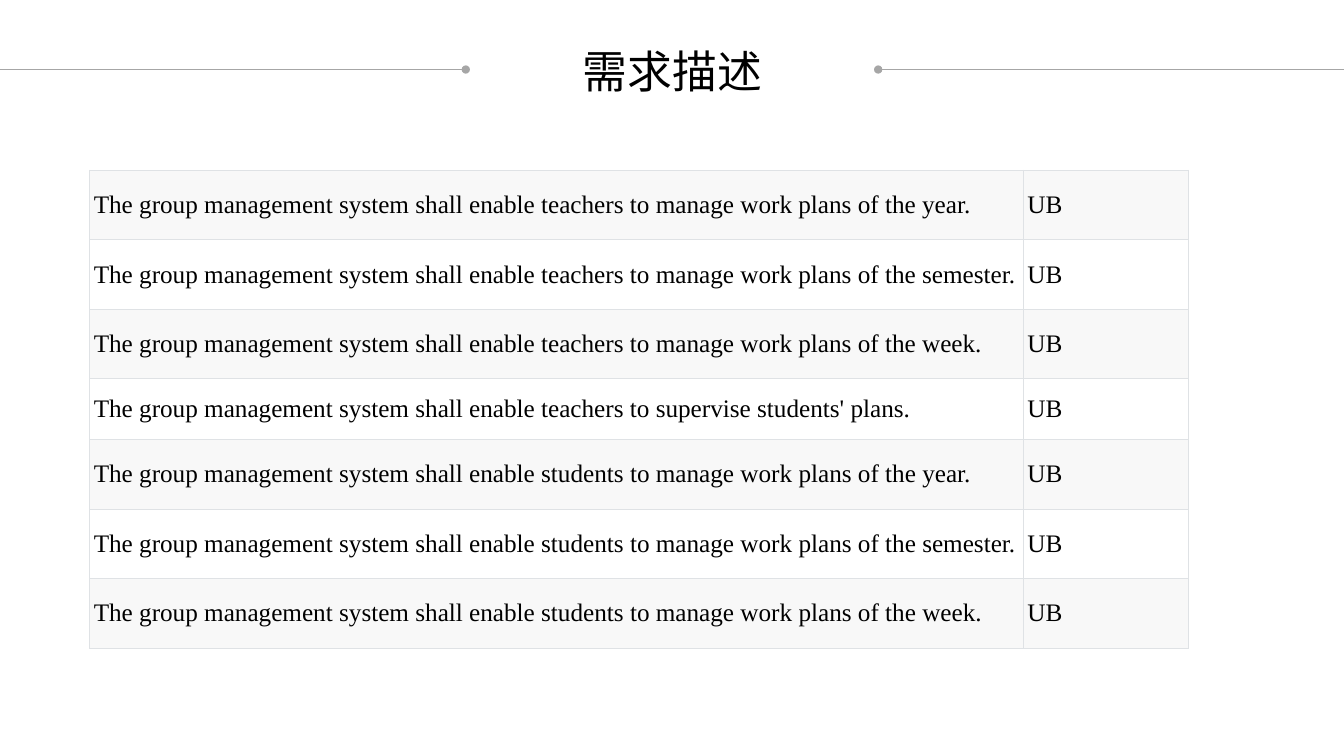
from lxml import etree
from pptx import Presentation
from pptx.dml.color import RGBColor
from pptx.enum.shapes import MSO_CONNECTOR
from pptx.enum.text import MSO_ANCHOR, MSO_AUTO_SIZE, PP_ALIGN
from pptx.oxml import parse_xml
from pptx.oxml.ns import nsdecls, qn
from pptx.util import Inches, Pt

STRAIGHT = MSO_CONNECTOR.STRAIGHT
MIDDLE = MSO_ANCHOR.MIDDLE
FIT_SHAPE = MSO_AUTO_SIZE.SHAPE_TO_FIT_TEXT
CENTER = PP_ALIGN.CENTER

COLORS = {"text": "000000", "rule": "A6A6A6", "border": "DFE2E5", "band": "F8F8F8"}
TITLE_FONT = "Arial Narrow"
BODY_FONT = "Times New Roman"
WIDTH, HEIGHT = 13.33, 7.5

NEEDS = [
    ("teachers", "manage work plans of the year"),
    ("teachers", "manage work plans of the semester"),
    ("teachers", "manage work plans of the week"),
    ("teachers", "supervise students' plans"),
    ("students", "manage work plans of the year"),
    ("students", "manage work plans of the semester"),
    ("students", "manage work plans of the week"),
]
ROWS = [(f"The group management system shall enable {who} to {task}.", "UB")
        for who, task in NEEDS]
COL_WIDTHS = [9.26, 1.64]
ROW_HEIGHTS = [0.69, 0.69, 0.69, 0.6, 0.69, 0.69, 0.69]


def rgb(name):
    return RGBColor.from_string(COLORS[name])


class SlideBuilder:
    def __init__(self, prs):
        self.s = prs.slides.add_slide(prs.slide_layouts[5])

    def style(self, p, font, size):
        p.font.name = font
        p.font.size = Pt(size)
        p.font.color.rgb = rgb("text")

    def title(self, text, left, top, width, height):
        sp = self.s.shapes.title
        sp.left, sp.top = Inches(left), Inches(top)
        sp.width, sp.height = Inches(width), Inches(height)
        tf = sp.text_frame
        tf.text = text
        tf.word_wrap = False
        tf.auto_size = FIT_SHAPE
        p = tf.paragraphs[0]
        p.alignment = CENTER
        self.style(p, TITLE_FONT, 32)

    def rule(self, x1, x2, y, dot_end):
        cx = self.s.shapes.add_connector(
            STRAIGHT, Inches(x1), Inches(y), Inches(x2), Inches(y))
        cx.line.color.rgb = rgb("rule")
        cx.line.width = Pt(0.5)
        sp_pr = cx.line._get_or_add_ln().getparent()
        etree.SubElement(cx.line._get_or_add_ln(), qn(f"a:{dot_end}"), type="oval")
        etree.SubElement(sp_pr, qn("a:effectLst"))

    def borders(self, cell):
        tc_pr = cell._tc.get_or_add_tcPr()
        for side in ("lnL", "lnR", "lnT", "lnB"):
            tc_pr.append(parse_xml(
                f'<a:{side} {nsdecls("a")} w="{Pt(0.75)}"><a:solidFill>'
                f'<a:srgbClr val="{COLORS["border"]}"/></a:solidFill></a:{side}>'))

    def cell(self, cell, text, banded):
        self.borders(cell)
        if banded:
            cell.fill.solid()
            cell.fill.fore_color.rgb = rgb("band")
        else:
            cell.fill.background()
        cell.margin_left = cell.margin_right = Inches(0.04)
        cell.margin_top = cell.margin_bottom = Inches(0.02)
        cell.vertical_anchor = MIDDLE
        cell.text = text
        self.style(cell.text_frame.paragraphs[0], BODY_FONT, 18)

    def table(self, rows, left, top):
        table = self.s.shapes.add_table(
            len(rows), len(COL_WIDTHS), Inches(left), Inches(top),
            Inches(sum(COL_WIDTHS)), Inches(sum(ROW_HEIGHTS))).table
        table.first_row = False
        table.horz_banding = False
        for column, width in zip(table.columns, COL_WIDTHS):
            column.width = Inches(width)
        for i, (row, height) in enumerate(zip(rows, ROW_HEIGHTS)):
            table.rows[i].height = Inches(height)
            for j, text in enumerate(row):
                self.cell(table.cell(i, j), text, i % 2 == 0)


def main():
    prs = Presentation()
    prs.slide_width, prs.slide_height = Inches(WIDTH), Inches(HEIGHT)
    slide = SlideBuilder(prs)
    slide.rule(0, 4.62, 0.69, "tailEnd")
    slide.rule(WIDTH - 4.62, WIDTH, 0.69, "headEnd")
    slide.title("需求描述", 5.67, 0.38, 2, 0.64)
    slide.table(ROWS, 0.89, 1.69)
    prs.save("out.pptx")


if __name__ == "__main__":
    main()
